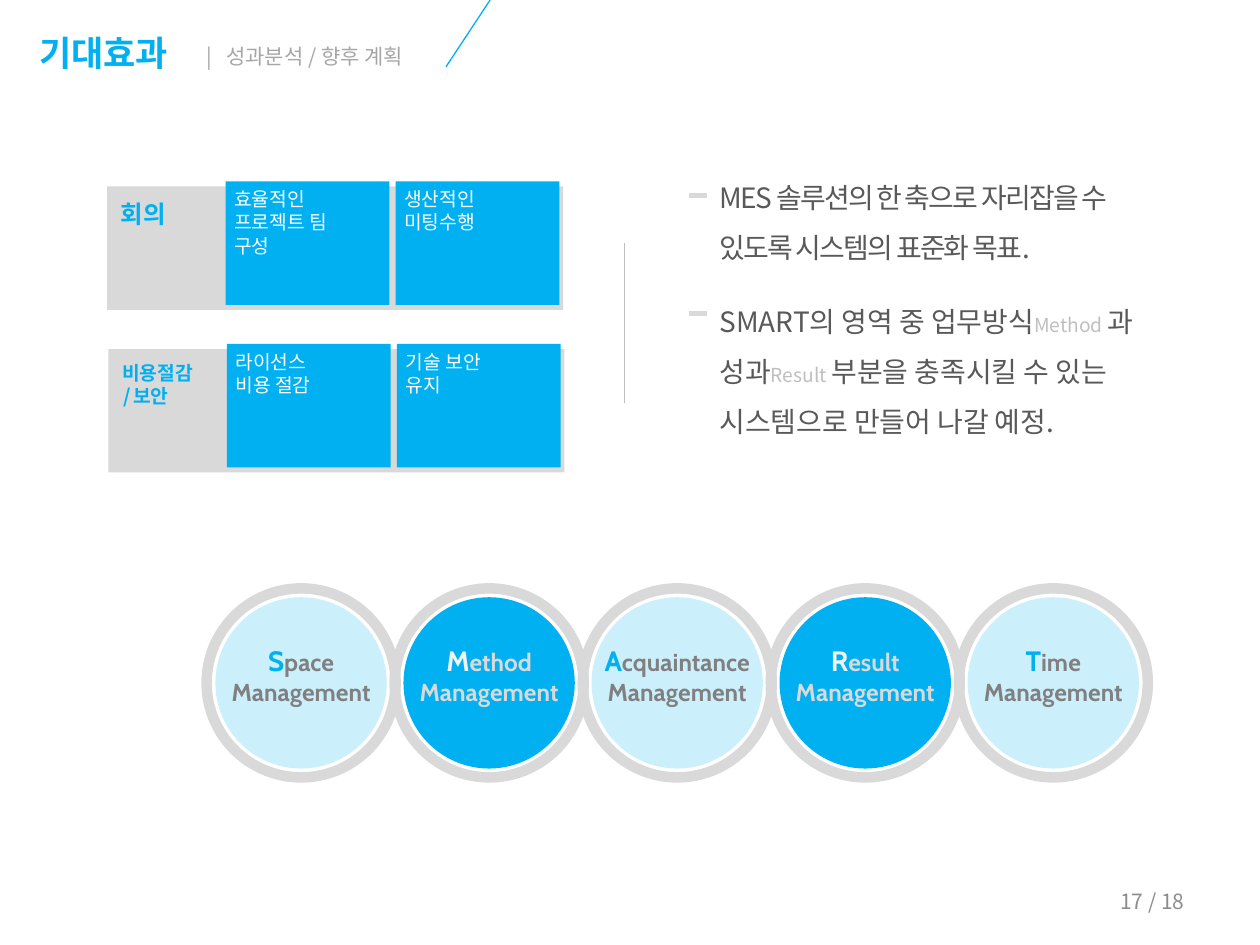
from lxml import etree
from pptx import Presentation
from pptx import util as u
from pptx.dml.color import RGBColor
from pptx.enum import shapes, text
from pptx.oxml import ns

BLUE = RGBColor(0x00, 0xB0, 0xF0)
WHITE = RGBColor(0xFF, 0xFF, 0xFF)
PALE = RGBColor(0xF2, 0xF2, 0xF2)
SILVER = RGBColor(0xD9, 0xD9, 0xD9)
LIGHT = RGBColor(0xBF, 0xBF, 0xBF)
ASH = RGBColor(0xA6, 0xA6, 0xA6)
STONE = RGBColor(0x8C, 0x8C, 0x8C)
GRAY = RGBColor(0x80, 0x80, 0x80)
DARK = RGBColor(0x59, 0x59, 0x59)
KOREAN = "Noto Sans CJK KR"
LATIN = "Cabin"


def style(size, color, name=KOREAN, bold=False, spacing=0):
    """Return the format values of a span of text."""
    return {"font": {"size": u.Pt(size), "name": name, "bold": bold},
            "color": color, "spacing": spacing}


def place(box):
    """Turn a box in inches into lengths."""
    return [u.Inches(value) for value in box]


def add_span(para, words, look):
    """Add a formatted run to a paragraph."""
    span = para.add_run()
    span.text = words
    for key, value in look["font"].items():
        setattr(span.font, key, value)
    span.font.color.rgb = look["color"]
    props = span.font._element
    etree.SubElement(props, ns.qn("a:ea"), typeface=KOREAN)
    if look["spacing"]:
        props.set("spc", str(int(look["spacing"] * 100)))


def fill_frame(frame, paragraphs, align=text.PP_ALIGN.LEFT, **settings):
    """Write paragraphs, each a list of spans, into a text frame."""
    for key, value in settings.items():
        setattr(frame, key, value)
    for index, spans in enumerate(paragraphs):
        para = frame.paragraphs[0] if index == 0 else frame.add_paragraph()
        para.alignment = align
        for words, look in spans:
            add_span(para, words, look)


def add_text(page, box, paragraphs, **settings):
    """Add a text box holding formatted paragraphs."""
    settings = {"word_wrap": False, **settings}
    fill_frame(page.shapes.add_textbox(*place(box)).text_frame, paragraphs, **settings)


def add_shape(page, kind, box, fill=None, line=None, alpha=None):
    """Add a flat shape with an optional fill, outline and opacity."""
    shape = page.shapes.add_shape(kind, *place(box))
    shape.shadow.inherit = False
    if fill is None:
        shape.fill.background()
    else:
        shape.fill.solid()
        shape.fill.fore_color.rgb = fill
    if line is None:
        shape.line.fill.background()
    else:
        shape.line.color.rgb, shape.line.width = line, u.Pt(6)
    if alpha:
        color = shape._element.spPr.find(".//" + ns.qn("a:srgbClr"))
        etree.SubElement(color, ns.qn("a:alpha"), val=str(alpha * 1000))


def add_line(page, ends, color, width):
    """Add a straight line without a shadow."""
    line = page.shapes.add_connector(shapes.MSO_CONNECTOR.STRAIGHT, *place(ends))
    line.line.color.rgb, line.line.width = color, u.Pt(width)
    etree.SubElement(line._element.spPr, ns.qn("a:effectLst"))


def add_header(page, box):
    """Place the title, the section trail and the slanted line."""
    left, top, width, height = box
    title = page.shapes.title
    title.left, title.top, title.width, title.height = place((left, top, 2.27, height))
    fill_frame(title.text_frame, [[("기대효과", style(20, BLUE, LATIN, True))]],
               vertical_anchor=text.MSO_ANCHOR.MIDDLE, auto_size=text.MSO_AUTO_SIZE.NONE)
    add_text(page, (left + 1.33, top + 0.11, 2.01, 0.3),
             [[("|   성과분석 / 향후 계획", style(12, ASH))]])
    right = left + width
    add_line(page, (right, 0, right - 0.35, 0.53), BLUE, 0.75)


def add_effect_row(page, box, label, label_size, tiles):
    """Place a gray panel with its label and blue tiles."""
    left, top, width, height = box
    rectangle = shapes.MSO_SHAPE.RECTANGLE
    add_shape(page, rectangle, box, SILVER)
    add_text(page, (left + 0.01, top + 0.05, *label_size), label)
    for index, (lines, text_width) in enumerate(tiles):
        tile_left = left + 0.94 + 1.35 * index
        add_shape(page, rectangle, (tile_left, top - 0.04, 1.3, height), BLUE)
        add_text(page, (tile_left - 0.03, top - 0.04, text_width, 0.09 + 0.19 * len(lines)),
                 [[(line, style(11, WHITE))] for line in lines])


def add_plans(page, box):
    """Place the list of plans with its dashes and divider."""
    left, top, width, height = box
    plain, small = style(16, DARK), style(11, LIGHT)
    plans = [
        [("MES 솔루션의 한 축으로 자리잡을 수 있도록 시스템의 표준화 목표.",
          style(16, DARK, spacing=-1))],
        [("SMART의 영역 중 업무방식", plain), ("Method ", small), ("과 성과", plain),
         ("Result ", small), ("부분을 충족시킬 수 있는 시스템으로 만들어 나갈 예정.", plain)],
    ]
    body = page.placeholders[1]
    body.left, body.top, body.width, body.height = place(box)
    fill_frame(body.text_frame, plans, word_wrap=True, auto_size=text.MSO_AUTO_SIZE.NONE)
    for para, before in zip(body.text_frame.paragraphs, (0, 13)):
        props = para._p.get_or_add_pPr()
        props.set("marL", "0")
        props.set("indent", "0")
        etree.SubElement(props, ns.qn("a:buNone"))
        para.line_spacing, para.space_before = 1.5, u.Pt(before)
    for drop in (0.3, 1.24):
        add_line(page, (left - 0.14, top + drop, left, top + drop), SILVER, 3)
    add_line(page, (left - 0.66, top + 0.68, left - 0.66, top + 1.95), LIGHT, 0.1)


def add_smart_chain(page, box):
    """Place the row of ringed circles, alternating pale and blue."""
    left, top, width, size = box
    words = ("Space", "Method", "Acquaintance", "Result", "Time")
    step = (width - size) / (len(words) - 1)
    oval = shapes.MSO_SHAPE.OVAL
    for index, word in enumerate(words):
        ring_left = left + step * index
        strong = index % 2 == 1
        initial, rest = (PALE, SILVER) if strong else (BLUE, GRAY)
        add_shape(page, oval, (ring_left, top, size, size), line=SILVER)
        add_shape(page, oval, (ring_left + 0.07, top + 0.07, size - 0.14, size - 0.14),
                  BLUE, alpha=None if strong else 20)
        body = style(14, rest, LATIN, True)
        add_text(page, (ring_left + 0.02, top + 0.39, size - 0.04, 0.61),
                 [[(word[0], style(16, initial, LATIN, True)), (word[1:], body)],
                  [("Management", body)]], align=text.PP_ALIGN.CENTER)


def add_page_number(page, box):
    """Place the page count at the lower right."""
    add_text(page, box, [[("17 / 18", style(12, STONE))]], align=text.PP_ALIGN.RIGHT,
             word_wrap=True, vertical_anchor=text.MSO_ANCHOR.MIDDLE)


def main():
    """Build and save the slide."""
    deck = Presentation()
    deck.slide_width, deck.slide_height = u.Inches(10), u.Inches(7.5)
    page = deck.slides.add_slide(deck.slide_layouts[1])
    add_header(page, (0.21, 0.19, 3.68, 0.46))
    bold = style(11, BLUE, bold=True)
    add_effect_row(page, (0.85, 1.48, 3.62, 0.98),
                   [[("회의", style(14, BLUE, bold=True))]], (0.59, 0.34),
                   [(["효율적인", "프로젝트 팀", "구성"], 1.03),
                    (["생산적인", "미팅수행"], 0.82)])
    add_effect_row(page, (0.86, 2.77, 3.62, 0.98),
                   [[("비용절감", bold)],
                    [(" / ", style(11, BLUE, bold=True, spacing=-1.5)), ("보안", bold)]],
                   (0.82, 0.47),
                   [(["라이선스", "비용 절감"], 0.87), (["기술 보안", "유지"], 0.87)])
    add_smart_chain(page, (1.64, 4.67, 7.47, 1.5))
    add_plans(page, (5.61, 1.25, 3.7, 2.29))
    add_page_number(page, (7.17, 6.95, 2.33, 0.4))
    deck.save("out.pptx")


if __name__ == "__main__":
    main()
